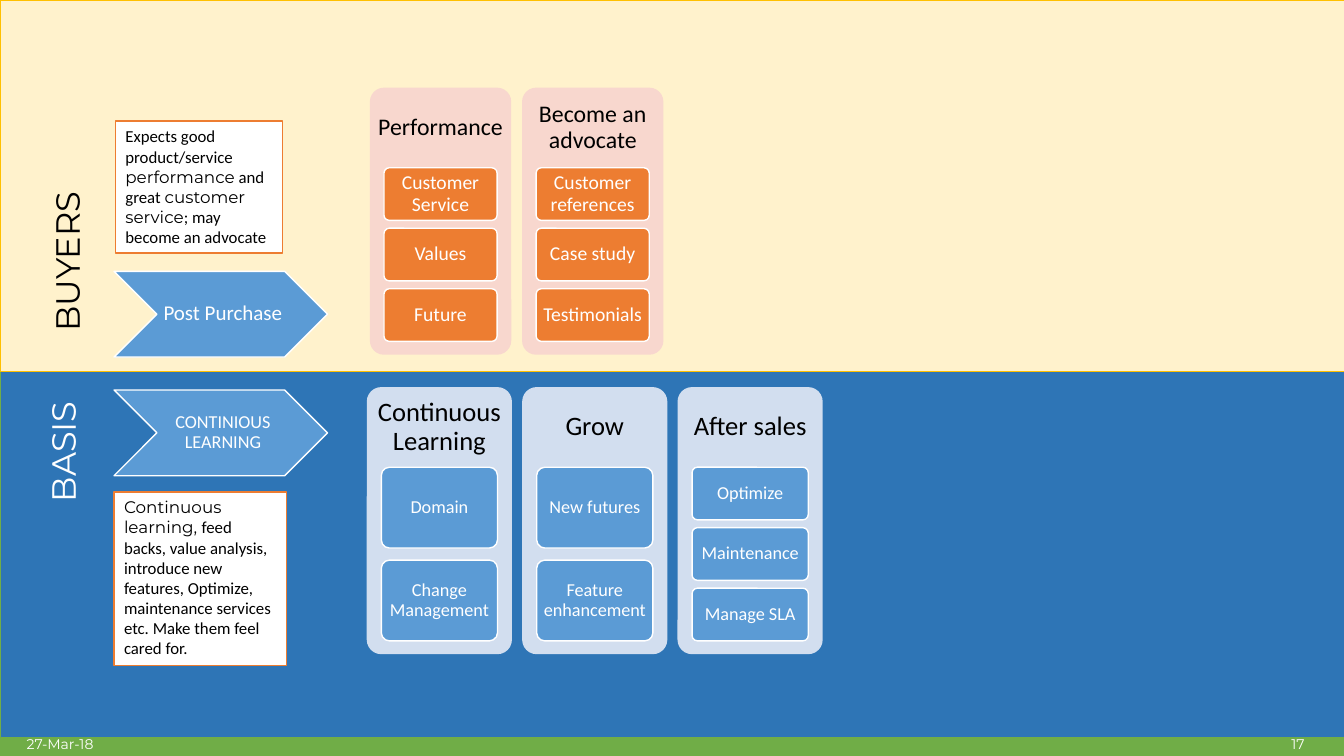
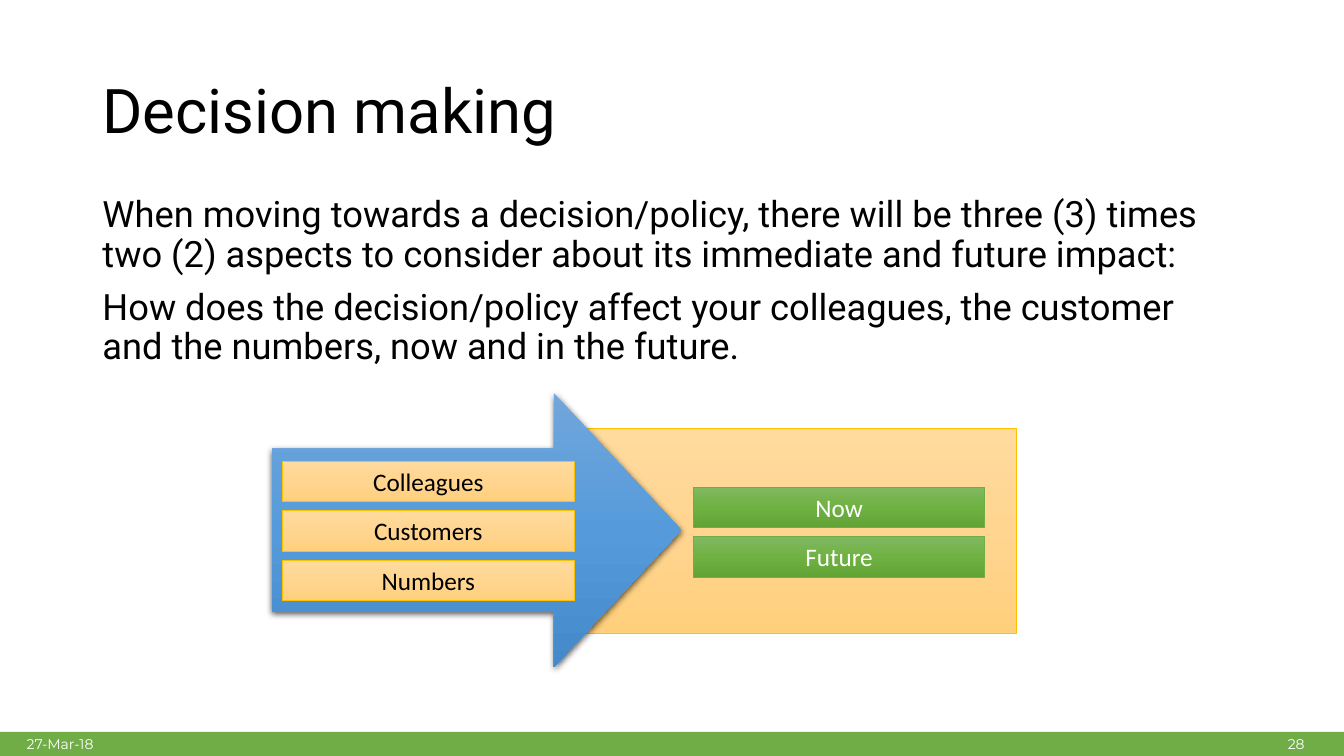
"""Build two slides: a buyer journey with its basis, and a decision-making model."""

from copy import deepcopy
from dataclasses import dataclass
from typing import NamedTuple, Optional, Union

from lxml import etree
from pptx import Presentation
from pptx import util as u
from pptx.dml.color import RGBColor
from pptx.enum import shapes, text
from pptx.oxml import ns
from pptx.shapes.autoshape import Shape
from pptx.slide import Slide

WHITE = RGBColor(0xFF, 0xFF, 0xFF)
BLACK = RGBColor(0x00, 0x00, 0x00)
GREEN = RGBColor(0x70, 0xAD, 0x47)
GOLD = RGBColor(0xFF, 0xC0, 0x00)
CREAM = RGBColor(0xFF, 0xF2, 0xCC)
DEEP_BLUE = RGBColor(0x2E, 0x75, 0xB6)
BLUE = RGBColor(0x5B, 0x9B, 0xD5)
PALE_BLUE = RGBColor(0xD2, 0xDE, 0xEF)
ORANGE = RGBColor(0xED, 0x7D, 0x31)
PALE_ORANGE = RGBColor(0xF8, 0xD7, 0xCE)

CALIBRI, MONTSERRAT, ROBOTO = "Calibri", "Montserrat", "Roboto"
SLIDE_WIDTH, SLIDE_HEIGHT = 960, 540
DATE = "27-Mar-18"
DEFAULT_INSETS = (7.2, 3.6, 7.2, 3.6)

Kind = shapes.MSO_SHAPE
Align = text.PP_ALIGN
Anchor = text.MSO_ANCHOR


class Box(NamedTuple):
    """Position and size in points."""

    left: float
    top: float
    width: float
    height: float


class Run(NamedTuple):
    """A stretch of text in one typeface."""

    words: str
    font: str


@dataclass(frozen=True)
class Gradient:
    """A three-step fill running from top to bottom."""

    colors: tuple[RGBColor, RGBColor, RGBColor]


@dataclass(frozen=True)
class Column:
    """A headed panel with its stacked cards."""

    heading: str
    cards: tuple[str, ...]


@dataclass(frozen=True)
class ColumnGroup:
    """Equal columns in a row, with shared colours and text sizes."""

    first: Box
    pitch: float
    panel: RGBColor
    card: RGBColor
    heading_size: float
    card_size: float
    columns: tuple[Column, ...]


@dataclass(frozen=True)
class Stage:
    """A chevron with its explanatory note."""

    label: str
    label_size: float
    chevron: Box
    note: tuple[Run, ...]
    note_box: Box


@dataclass(frozen=True)
class BarStack:
    """Labelled bars at an equal pitch."""

    left: float
    top: float
    labels: tuple[str, ...]
    fill: Gradient
    line: RGBColor
    color: RGBColor


Fill = Union[RGBColor, Gradient]

AMBER_FADE = Gradient((RGBColor(0xFF, 0xDB, 0x9E), RGBColor(0xFF, 0xD5, 0x90), RGBColor(0xFF, 0xD0, 0x7C)))
BLUE_FADE = Gradient((RGBColor(0x71, 0xA6, 0xDB), RGBColor(0x55, 0x9B, 0xDB), RGBColor(0x44, 0x8A, 0xCA)))
GREEN_FADE = Gradient((RGBColor(0x81, 0xB8, 0x61), RGBColor(0x6F, 0xB2, 0x42), RGBColor(0x62, 0xA3, 0x36)))

COLUMN_GROUPS = (
    ColumnGroup(
        Box(262, 276.5, 103.7, 190.8), 111, PALE_BLUE, BLUE, 19, 13,
        (
            Column("Continuous Learning", ("Domain", "Change Management")),
            Column("Grow", ("New futures", "Feature enhancement")),
            Column("After sales", ("Optimize", "Maintenance", "Manage SLA")),
        ),
    ),
    ColumnGroup(
        Box(264.2, 62.6, 101, 190.8), 108.7, PALE_ORANGE, ORANGE, 17, 14,
        (
            Column("Performance", ("Customer Service", "Values", "Future")),
            Column("Become an advocate", ("Customer references", "Case study", "Testimonials")),
        ),
    ),
)

STAGES = (
    Stage(
        "Post Purchase", 15, Box(81.5, 193.8, 152.5, 61.2),
        (
            Run("Expects good product/service ", CALIBRI),
            Run("performance", MONTSERRAT),
            Run(" and great ", CALIBRI),
            Run("customer service", MONTSERRAT),
            Run("; may become an advocate", CALIBRI),
        ),
        Box(82.5, 86.5, 119.5, 94.3),
    ),
    Stage(
        "CONTINIOUS LEARNING", 13, Box(81.5, 278.6, 152.5, 61.2),
        (
            Run("Continuous learning, ", MONTSERRAT),
            Run("feed backs, value analysis, introduce new features, Optimize, "
                "maintenance services etc. Make them feel cared for.", CALIBRI),
        ),
        Box(81.5, 351.4, 123, 123.8),
    ),
)

BAR_STACKS = (
    BarStack(202, 329.2, ("Colleagues", "Customers", "Numbers"), AMBER_FADE, GOLD, BLACK),
    BarStack(495.4, 347.8, ("Now", "Future"), GREEN_FADE, GREEN, WHITE),
)


def points(box: Box) -> tuple[u.Pt, ...]:
    """Turn a box into lengths for python-pptx."""
    return tuple(u.Pt(value) for value in box)


def write_text(
    shape: Shape, *paragraphs: Union[str, tuple[Run, ...]], size: float, color: RGBColor = BLACK,
    font: str = CALIBRI, align: Align = Align.LEFT, anchor: Anchor = Anchor.TOP,
    insets: tuple[float, ...] = DEFAULT_INSETS, line_spacing: float = 1.0, space_before: float = 0,
) -> None:
    """Fill a shape with formatted paragraphs."""
    frame = shape.text_frame
    frame.word_wrap = True
    frame.auto_size = text.MSO_AUTO_SIZE.NONE
    frame.vertical_anchor = anchor
    frame.margin_left, frame.margin_top, frame.margin_right, frame.margin_bottom = map(u.Pt, insets)
    for index, content in enumerate(paragraphs):
        paragraph = frame.add_paragraph() if index else frame.paragraphs[0]
        paragraph.alignment = align
        paragraph.line_spacing = line_spacing
        paragraph.space_before = u.Pt(space_before if index else 0)
        for words, run_font in ((Run(content, font),) if isinstance(content, str) else content):
            run = paragraph.add_run()
            run.text = words
            run.font.name = run_font
            run.font.size = u.Pt(size)
            run.font.color.rgb = color


def paint(shape: Shape, fill: Fill) -> None:
    """Give a shape a solid or three-step fill."""
    if isinstance(fill, RGBColor):
        shape.fill.solid()
        shape.fill.fore_color.rgb = fill
        return
    shape.fill.gradient()
    shape.fill.gradient_angle = 270
    stop_list = shape._element.spPr.find(f".//{ns.qn('a:gsLst')}")
    stop_list.insert(1, deepcopy(stop_list[0]))
    for index, (stop, color) in enumerate(zip(shape.fill.gradient_stops, fill.colors)):
        stop.position = index / 2
        stop.color.rgb = color


def draw_shape(
    slide: Slide, kind: Kind, box: Box, fill: Fill,
    line: Optional[RGBColor] = None, line_width: float = 1, adjustments: tuple[float, ...] = (),
) -> Shape:
    """Draw a preset shape without an inherited shadow."""
    shape = slide.shapes.add_shape(kind, *points(box))
    shape.shadow.inherit = False
    paint(shape, fill)
    if line is None:
        shape.line.fill.background()
    else:
        shape.line.color.rgb = line
        shape.line.width = u.Pt(line_width)
    for index, value in enumerate(adjustments):
        shape.adjustments[index] = value
    return shape


def draw_label(slide: Slide, words: str, box: Box, rotation: float = 0, **style) -> None:
    """Draw a text box."""
    label = slide.shapes.add_textbox(*points(box))
    label.rotation = rotation
    write_text(label, words, **style)


def add_shadow(shape: Shape) -> None:
    """Cast a soft shadow below a shape."""
    effects = shape._element.spPr.find(ns.qn("a:effectLst"))
    shadow = etree.SubElement(effects, ns.qn("a:outerShdw"), blurRad=str(u.Pt(4.5)),
                              dist=str(u.Pt(1.5)), dir="5400000", algn="ctr", rotWithShape="0")
    color = etree.SubElement(shadow, ns.qn("a:srgbClr"), val=str(BLACK))
    etree.SubElement(color, ns.qn("a:alpha"), val="63000")


def remove_bullets(shape: Shape) -> None:
    """Set all paragraphs flush left without bullets."""
    for paragraph in shape.text_frame.paragraphs:
        properties = paragraph._p.get_or_add_pPr()
        properties.set("marL", "0")
        properties.set("indent", "0")
        etree.SubElement(properties, ns.qn("a:buNone"))


def draw_footer(slide: Slide, number: int) -> None:
    """Write the date and slide number on the footer band."""
    style = dict(size=10, color=WHITE, font=MONTSERRAT, anchor=Anchor.MIDDLE)
    draw_label(slide, DATE, Box(12, 522.7, 216, 17.3), **style)
    draw_label(slide, str(number), Box(678, 522.3, 261, 18), align=Align.RIGHT, **style)


def start_slide(presentation: Presentation, layout: int) -> Slide:
    """Add a slide with its green footer band."""
    slide = presentation.slides.add_slide(presentation.slide_layouts[layout])
    draw_shape(slide, Kind.RECTANGLE, Box(0, 522.7, SLIDE_WIDTH, 17.3), GREEN)
    return slide


def draw_columns(slide: Slide, group: ColumnGroup) -> None:
    """Draw panels whose cards share 65% of the panel height."""
    style = dict(align=Align.CENTER, anchor=Anchor.MIDDLE, line_spacing=0.9)
    _, top, width, height = group.first
    for index, column in enumerate(group.columns):
        panel = group.first._replace(left=group.first.left + index * group.pitch)
        draw_shape(slide, Kind.ROUNDED_RECTANGLE, panel, group.panel, adjustments=(0.1,))
        draw_label(slide, column.heading, panel._replace(height=0.3 * height),
                   size=group.heading_size, insets=(4, 4, 4, 4), **style)
        count = len(column.cards)
        card_height = 0.65 * height / (count + 0.15 * (count - 1))
        for row, words in enumerate(column.cards):
            box = Box(panel.left + 0.1 * width, top + 0.3 * height + 1.15 * row * card_height,
                      0.8 * width, card_height)
            card = draw_shape(slide, Kind.ROUNDED_RECTANGLE, box, group.card, WHITE, adjustments=(0.1,))
            write_text(card, words, size=group.card_size, color=WHITE, insets=(2, 2, 2, 2), **style)


def build_journey(presentation: Presentation) -> None:
    """Build the buyers and basis slide."""
    slide = start_slide(presentation, 6)
    draw_shape(slide, Kind.RECTANGLE, Box(0, 265, SLIDE_WIDTH, 262), DEEP_BLUE, GREEN, 0.5)
    draw_shape(slide, Kind.RECTANGLE, Box(0, 0, SLIDE_WIDTH, 265), CREAM, GOLD, 0.5)
    draw_label(slide, "BASIS", Box(-4.3, 298.8, 98, 36), 270, size=24, color=WHITE, font=MONTSERRAT)
    draw_label(slide, "BUYERS", Box(-15, 163.4, 125, 36), 270, size=24, font=MONTSERRAT)
    for group in COLUMN_GROUPS:
        draw_columns(slide, group)
    for stage in STAGES:
        chevron = draw_shape(slide, Kind.CHEVRON, stage.chevron, BLUE, WHITE)
        write_text(chevron, stage.label, size=stage.label_size, color=WHITE, align=Align.CENTER,
                   anchor=Anchor.MIDDLE, insets=(3, 1, 0, 1), line_spacing=0.9)
        note = draw_shape(slide, Kind.RECTANGLE, stage.note_box, WHITE, ORANGE)
        write_text(note, stage.note, size=12)
    draw_footer(slide, 17)


def build_decision(presentation: Presentation) -> None:
    """Build the decision-making slide."""
    slide = start_slide(presentation, 1)
    title, body = slide.shapes.title, slide.placeholders[1]
    title.left, title.top, title.width, title.height = points(Box(66, 28.8, 828, 104.4))
    body.left, body.top, body.width, body.height = points(Box(66, 136.8, 828, 148.3))
    write_text(title, "Decision making", size=44, font=ROBOTO, anchor=Anchor.MIDDLE, line_spacing=0.9)
    write_text(
        body,
        "When moving towards a decision/policy, there will be three (3) times two (2) aspects "
        "to consider about its immediate and future impact:",
        "How does the decision/policy affect your colleagues, the customer and the numbers, "
        "now and in the future.",
        size=25.9, font=ROBOTO, line_spacing=0.9, space_before=10,
    )
    remove_bullets(body)
    draw_shape(slide, Kind.RECTANGLE, Box(419, 306, 307, 146.2), AMBER_FADE, GOLD, 0.5)
    arrow = draw_shape(slide, Kind.RIGHT_ARROW, Box(194.4, 280.8, 292.3, 195.8), BLUE_FADE,
                       adjustments=(0.595, 0.465))
    add_shadow(arrow)
    for stack in BAR_STACKS:
        for row, words in enumerate(stack.labels):
            box = Box(stack.left, stack.top + 35.5 * row, 208, 29)
            bar = draw_shape(slide, Kind.RECTANGLE, box, stack.fill, stack.line, 0.5)
            write_text(bar, words, size=18, color=stack.color, align=Align.CENTER)
    draw_footer(slide, 28)


def main() -> None:
    """Build and save the presentation."""
    presentation = Presentation()
    presentation.slide_width, presentation.slide_height = u.Pt(SLIDE_WIDTH), u.Pt(SLIDE_HEIGHT)
    build_journey(presentation)
    build_decision(presentation)
    presentation.save("out.pptx")


if __name__ == "__main__":
    main()
